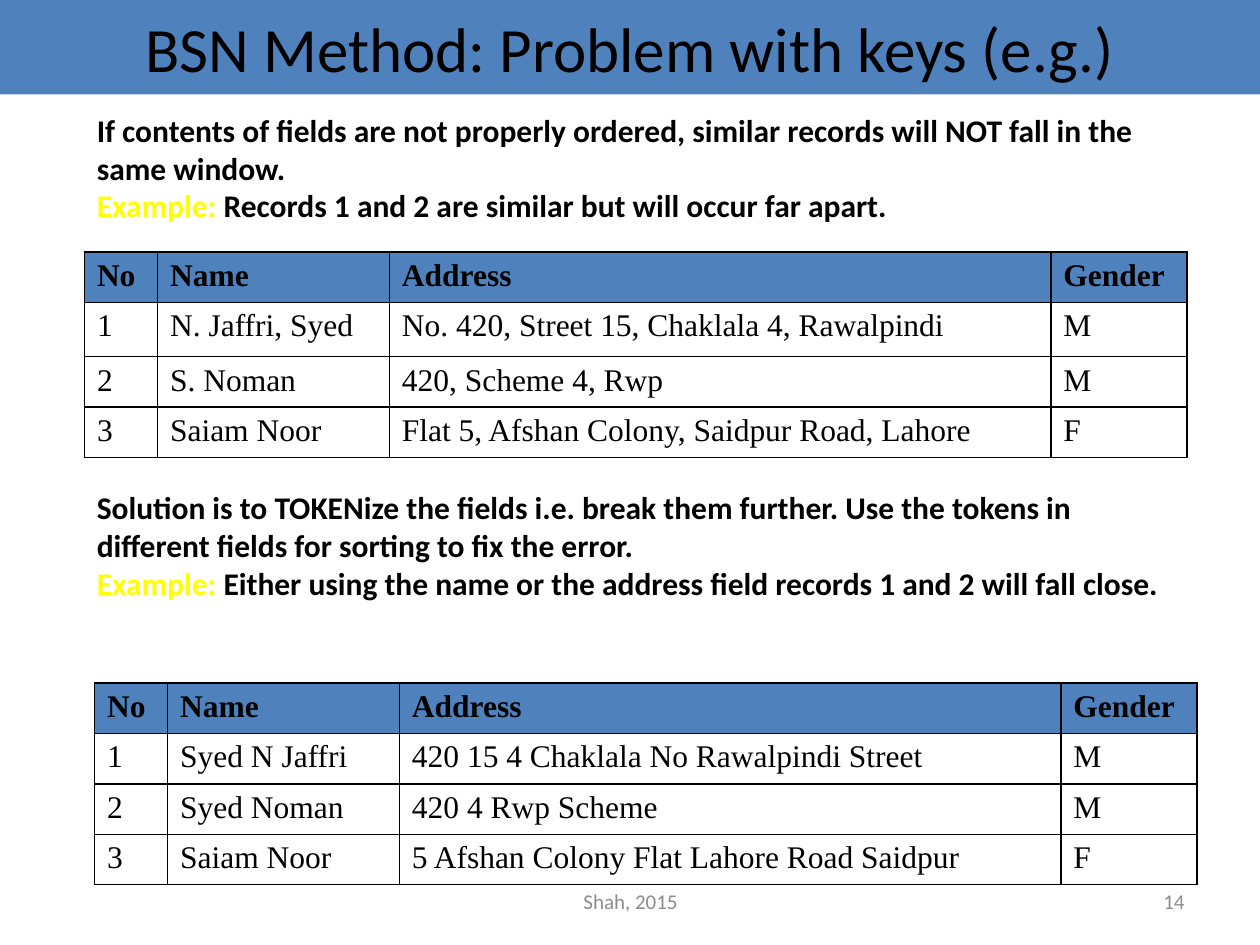
from dataclasses import dataclass

from lxml.etree import SubElement
from pptx import Presentation
from pptx.dml.color import RGBColor as RGB
from pptx.enum.shapes import MSO_SHAPE as Shape
from pptx.enum.text import MSO_ANCHOR as Anchor, PP_ALIGN as Align
from pptx.oxml.ns import qn
from pptx.util import Inches, Pt


@dataclass(frozen=True)
class Theme:
    blue: RGB = RGB(0x4F, 0x81, 0xBD)
    black: RGB = RGB(0, 0, 0)
    yellow: RGB = RGB(0xFF, 0xFF, 0)
    gray: RGB = RGB(0x8C, 0x8C, 0x8C)
    sans: str = "Calibri"
    serif: str = "Times New Roman"
    title: int = 36
    body: int = 18
    small: int = 12


T = Theme()
HEAD = ["No", "Name", "Address", "Gender"]
COLS = [0.58, 1.84, 5.25, 1.08]
UNSORTED = [
    ["1", "N. Jaffri, Syed", "No. 420, Street 15, Chaklala 4, Rawalpindi", "M"],
    ["2", "S. Noman", "420, Scheme 4, Rwp", "M"],
    ["3", "Saiam Noor", "Flat 5, Afshan Colony, Saidpur Road, Lahore", "F"],
]
TOKENS = [
    ["1", "Syed N Jaffri", "420 15 4 Chaklala No Rawalpindi Street", "M"],
    ["2", "Syed Noman", "420 4 Rwp Scheme", "M"],
    ["3", "Saiam Noor", "5 Afshan Colony Flat Lahore Road Saidpur", "F"],
]


def write(par, text, size=T.body, face=T.sans, color=T.black, bold=False,
          align=Align.LEFT):
    """Append one formatted run to a paragraph."""
    par.alignment = align
    run = par.add_run()
    run.text = text
    font = run.font
    font.size, font.name, font.bold = Pt(size), face, bold
    font.color.rgb = color


def add_box(slide, left, top, width, height, anchor=Anchor.TOP):
    box = slide.shapes.add_textbox(*map(Inches, (left, top, width, height)))
    frame = box.text_frame
    frame.word_wrap = True
    frame.vertical_anchor = anchor
    return frame


def add_title(slide, text):
    bar = slide.shapes.add_shape(Shape.RECTANGLE, 0, 0, Inches(10), Inches(0.75))
    bar.shadow.inherit = False
    bar.fill.solid()
    bar.fill.fore_color.rgb = T.blue
    bar.line.fill.background()
    frame = bar.text_frame
    frame.vertical_anchor = Anchor.MIDDLE
    write(frame.paragraphs[0], text, size=T.title, align=Align.CENTER)


def add_notes(slide):
    """Place both explanations, with room for a table between them."""
    frame = add_box(slide, 0.67, 0.83, 8.83, 4.31)
    parts = [
        ("If contents of fields are not properly ordered, similar records "
         "will NOT fall in the same window.",
         " Records 1 and 2 are similar but will occur far apart."),
        ("Solution is to TOKENize the fields i.e. break them further. Use the "
         "tokens in different fields for sorting to fix the error.",
         " Either using the name or the address field records 1 and 2 will "
         "fall close."),
    ]
    for i, (claim, case) in enumerate(parts):
        par = frame.add_paragraph() if i else frame.paragraphs[0]
        if i:
            par.space_before = Pt(151)
        write(par, claim, bold=True)
        par = frame.add_paragraph()
        write(par, "Example:", color=T.yellow, bold=True)
        write(par, case, bold=True)


def add_border(cell):
    props = cell._tc.get_or_add_tcPr()
    for side in ("lnL", "lnR", "lnT", "lnB"):
        line = SubElement(props, qn(f"a:{side}"), w=str(Pt(1)))
        fill = SubElement(line, qn("a:solidFill"))
        SubElement(fill, qn("a:srgbClr"), val=str(T.black))


def add_grid(slide, left, top, rows, heights):
    data = [HEAD] + rows
    sizes = map(Inches, (left, top, sum(COLS), sum(heights)))
    grid = slide.shapes.add_table(len(data), len(COLS), *sizes).table
    grid.horz_banding = False
    for col, width in zip(grid.columns, COLS):
        col.width = Inches(width)
    for r, (row, height) in enumerate(zip(data, heights)):
        grid.rows[r].height = Inches(height)
        for c, text in enumerate(row):
            cell = grid.cell(r, c)
            add_border(cell)
            if r == 0:
                cell.fill.solid()
                cell.fill.fore_color.rgb = T.blue
            else:
                cell.fill.background()
            write(cell.text_frame.paragraphs[0], text, face=T.serif, bold=r == 0)


def add_footer(slide, text, left, width, align):
    frame = add_box(slide, left, 6.95, width, 0.4, anchor=Anchor.MIDDLE)
    write(frame.paragraphs[0], text, size=T.small, color=T.gray, align=align)


def main():
    deck = Presentation()
    deck.slide_width, deck.slide_height = Inches(10), Inches(7.5)
    slide = deck.slides.add_slide(deck.slide_layouts[6])
    add_footer(slide, "Shah, 2015", 3.42, 3.17, Align.CENTER)
    add_footer(slide, "14", 7.17, 2.33, Align.RIGHT)
    add_title(slide, "BSN Method: Problem with keys (e.g.)")
    add_grid(slide, 0.75, 5.42, TOKENS, [0.37] * 4)
    add_grid(slide, 0.67, 2, UNSORTED, [0.37, 0.43, 0.37, 0.37])
    add_notes(slide)
    deck.save("out.pptx")


if __name__ == "__main__":
    main()
